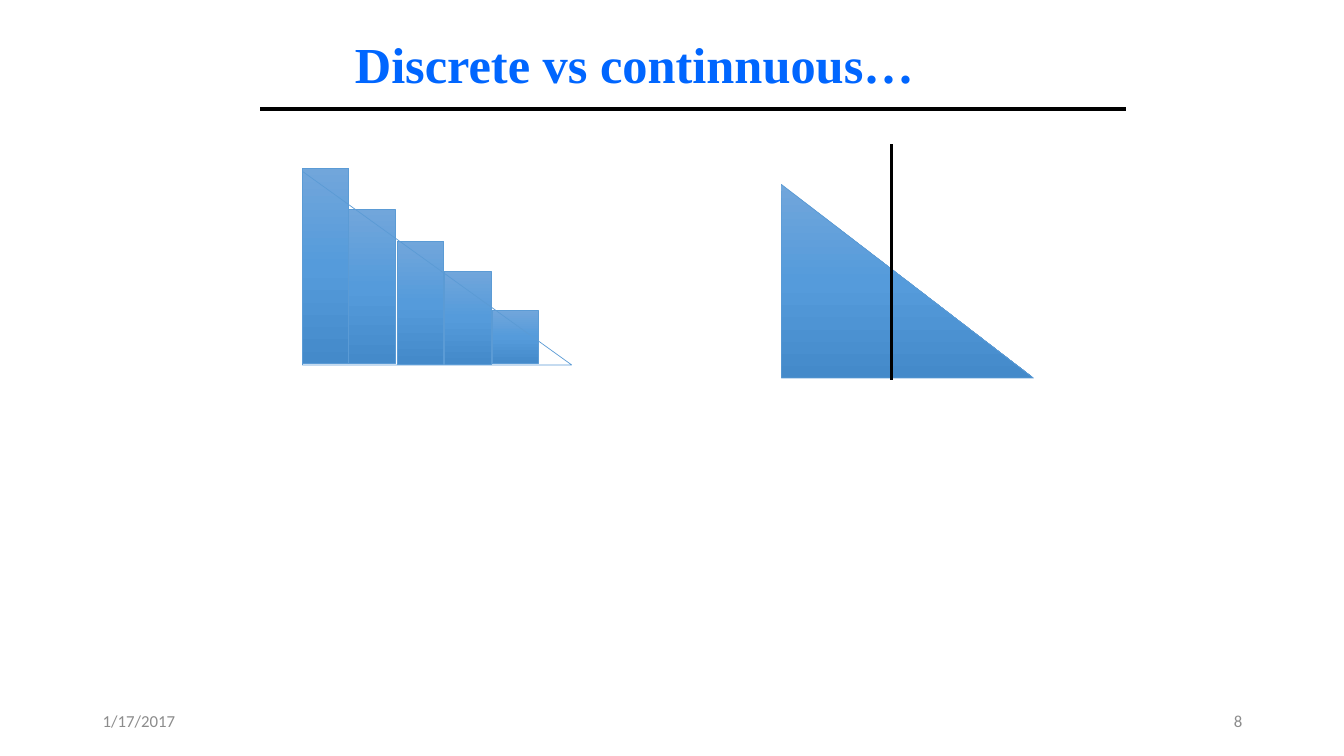
import copy
from dataclasses import dataclass

import pptx
import pptx.dml.color
import pptx.enum.shapes
import pptx.enum.text
import pptx.oxml.ns
import pptx.util
from pptx.util import Inches

COLORS = {
    "title": "0066FF",
    "footer": "8C8C8C",
    "rule": "000000",
    "outline": "5B9BD5",
    "gradient_top": "71A6DB",
    "gradient_middle": "559BDB",
    "gradient_bottom": "448ACA",
}
GRADIENT = ((0, "gradient_top"), (0.5, "gradient_middle"), (1, "gradient_bottom"))
BAR_WIDTH = 0.46
BASELINE = 3.61
RECTANGLE = pptx.enum.shapes.MSO_SHAPE.RECTANGLE
TRIANGLE = pptx.enum.shapes.MSO_SHAPE.RIGHT_TRIANGLE
ALIGN = pptx.enum.text.PP_ALIGN


@dataclass
class Box:
    left: float
    top: float
    width: float
    height: float

    def lengths(self) -> list[int]:
        return [Inches(v) for v in (self.left, self.top, self.width, self.height)]


@dataclass
class Label:
    text: str
    box: Box
    size: int
    font: str
    color: str
    bold: bool = False
    align: ALIGN = ALIGN.LEFT
    inset: float = 0.1


@dataclass
class Figure:
    kind: pptx.enum.shapes.MSO_SHAPE
    box: Box
    filled: bool = True


@dataclass
class Rule:
    start: tuple[float, float]
    end: tuple[float, float]
    weight: float


def rgb(name: str) -> pptx.dml.color.RGBColor:
    return pptx.dml.color.RGBColor.from_string(COLORS[name])


def add_label(slide: pptx.slide.Slide, label: Label) -> None:
    frame = slide.shapes.add_textbox(*label.box.lengths()).text_frame
    frame.word_wrap = True
    frame.vertical_anchor = pptx.enum.text.MSO_ANCHOR.MIDDLE
    frame.margin_left = Inches(label.inset)
    paragraph = frame.paragraphs[0]
    paragraph.text = label.text
    paragraph.alignment = label.align
    paragraph.font.size = pptx.util.Pt(label.size)
    paragraph.font.name = label.font
    paragraph.font.bold = label.bold
    paragraph.font.color.rgb = rgb(label.color)


def fill_gradient(shape: pptx.shapes.autoshape.Shape) -> None:
    shape.fill.gradient()
    shape.fill.gradient_angle = 270
    first_stop = next(shape._element.spPr.iter(pptx.oxml.ns.qn("a:gs")))
    first_stop.addnext(copy.deepcopy(first_stop))
    for stop, (position, color) in zip(shape.fill.gradient_stops, GRADIENT):
        stop.position = position
        stop.color.rgb = rgb(color)


def add_figure(slide: pptx.slide.Slide, figure: Figure) -> None:
    shape = slide.shapes.add_shape(figure.kind, *figure.box.lengths())
    shape.shadow.inherit = False
    shape.line.color.rgb = rgb("outline")
    shape.line.width = pptx.util.Pt(0.5)
    if figure.filled:
        fill_gradient(shape)
    else:
        shape.fill.background()


def add_rule(slide: pptx.slide.Slide, rule: Rule) -> None:
    ends = [Inches(v) for v in (*rule.start, *rule.end)]
    connector = slide.shapes.add_connector(pptx.enum.shapes.MSO_CONNECTOR.STRAIGHT, *ends)
    connector.line.color.rgb = rgb("rule")
    connector.line.width = pptx.util.Pt(rule.weight)
    connector._element.spPr.append(pptx.oxml.parse_xml(
        f'<a:effectLst {pptx.oxml.ns.nsdecls("a")}/>'))


labels = [
    Label("1/17/2017", Box(0.92, 6.95, 3, 0.4), 12, "Calibri", "footer"),
    Label("8", Box(9.42, 6.95, 3, 0.4), 12, "Calibri", "footer", align=ALIGN.RIGHT),
    Label("Discrete vs continnuous…", Box(1.17, 0, 10.33, 1.25), 36,
          "Times New Roman", "title", bold=True, inset=2.35),
]
bar_corners = [(3, 1.67), (3.46, 2.08), (3.94, 2.39), (4.41, 2.69), (4.88, 3.08)]
continuous_area = Figure(TRIANGLE, Box(7.75, 1.83, 2.5, 1.92))
discrete_bars = [
    Figure(RECTANGLE, Box(left, top, BAR_WIDTH, BASELINE - top))
    for left, top in bar_corners
]
discrete_trend = Figure(TRIANGLE, Box(3, 1.7, 2.67, 1.92), filled=False)
title_rule = Rule((2.58, 1.08), (11.17, 1.08), 3)
cut_line = Rule((8.84, 1.43), (8.84, 3.77), 2)

presentation = pptx.Presentation()
presentation.slide_width = Inches(13.33)
presentation.slide_height = Inches(7.5)
slide = presentation.slides.add_slide(presentation.slide_layouts[6])

for label in labels:
    add_label(slide, label)
add_rule(slide, title_rule)
for figure in [continuous_area, *discrete_bars, discrete_trend]:
    add_figure(slide, figure)
add_rule(slide, cut_line)

presentation.save("out.pptx")
